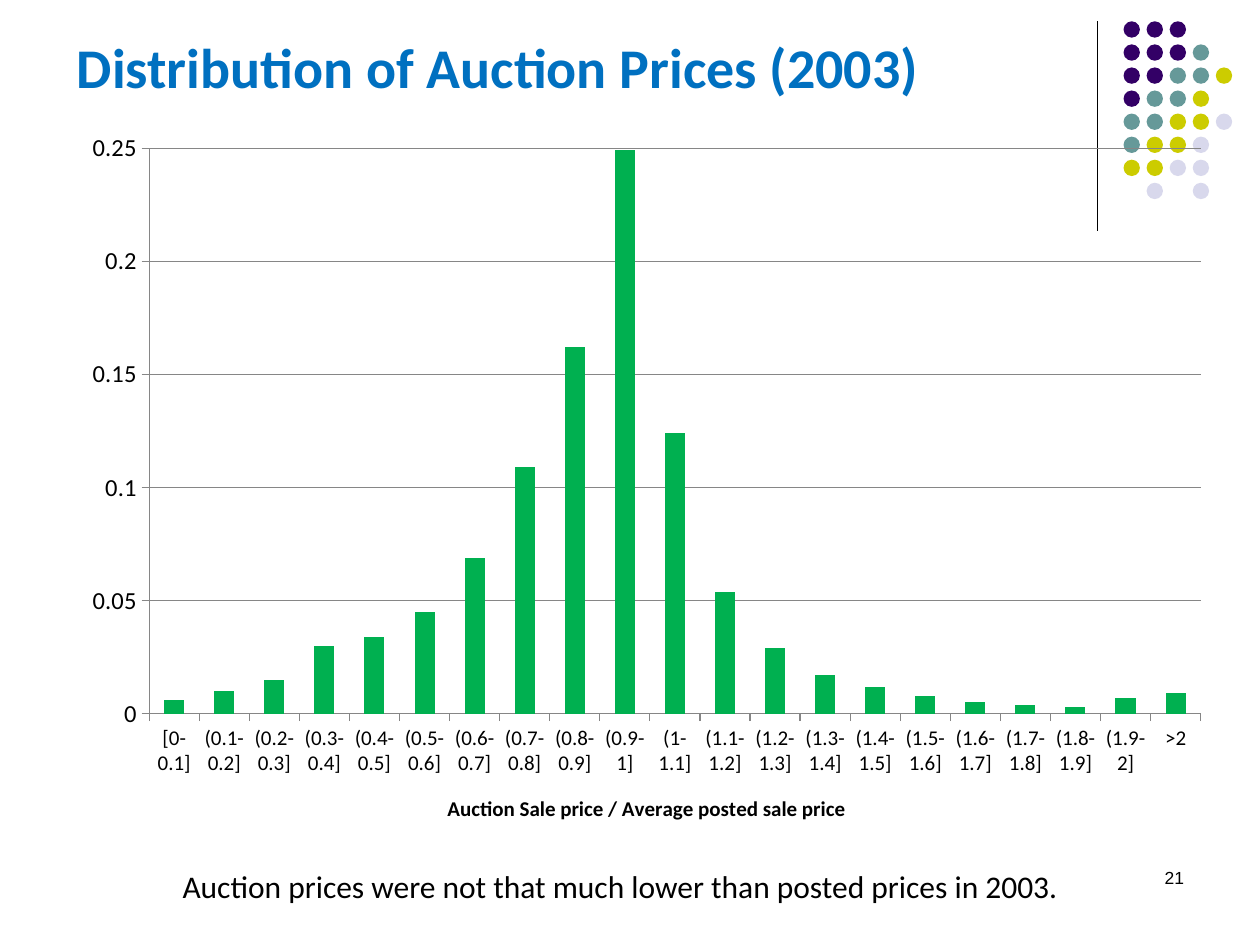
"""Build the auction price distribution slide."""
import dataclasses

import lxml.etree
import pptx
import pptx.chart.data
import pptx.dml.color
import pptx.enum.chart
import pptx.enum.shapes
import pptx.enum.text
import pptx.oxml.ns
import pptx.util

Cm = pptx.util.Cm
Pt = pptx.util.Pt
ANCHOR = pptx.enum.text.MSO_ANCHOR
ALIGN = pptx.enum.text.PP_ALIGN


@dataclasses.dataclass(frozen=True)
class Theme:
    ink: str = "000000"
    title: str = "0070C0"
    bar: str = "00B050"
    grid: str = "868686"
    purple: str = "330066"
    teal: str = "669999"
    lime: str = "CCCC00"
    pale: str = "D8D8EC"
    font: str = "Calibri"
    number_font: str = "Arial"
    title_size: float = 32
    caption_size: float = 18
    value_size: float = 14
    category_size: float = 12
    number_size: float = 10


def rgb(value):
    return pptx.dml.color.RGBColor.from_string(value)


class Deck:
    def __init__(self, prs, theme):
        self.theme = theme
        self.s = prs.slides.add_slide(prs.slide_layouts[6])

    def style(self, font, size, color=None, **extra):
        fmt = {"name": self.theme.font, "size": Pt(size), "bold": False, **extra}
        for key, value in fmt.items():
            setattr(font, key, value)
        font.color.rgb = rgb(color or self.theme.ink)

    def outline(self, line):
        line.color.rgb = rgb(self.theme.grid)
        line.width = Pt(0.75)

    def text(self, box, text, size, color=None, anchor=ANCHOR.TOP, align=ALIGN.LEFT, **extra):
        tf = self.s.shapes.add_textbox(*map(Cm, box)).text_frame
        tf.word_wrap = True
        tf.vertical_anchor = anchor
        p = tf.paragraphs[0]
        p.alignment = align
        r = p.add_run()
        r.text = text
        self.style(r.font, size, color, **extra)

    def line(self, x1, y1, x2, y2):
        kind = pptx.enum.shapes.MSO_CONNECTOR.STRAIGHT
        sp = self.s.shapes.add_connector(kind, Cm(x1), Cm(y1), Cm(x2), Cm(y2))
        sp.line.color.rgb = rgb(self.theme.ink)
        sp.line.width = Pt(0.75)
        lxml.etree.SubElement(sp._element.spPr, pptx.oxml.ns.qn("a:effectLst"))

    def dots(self, rows, left, top, pitch, size):
        colors = {"P": self.theme.purple, "T": self.theme.teal,
                  "L": self.theme.lime, "W": self.theme.pale}
        group = self.s.shapes.add_group_shape()
        for i, row in enumerate(rows):
            for j, code in enumerate(row):
                if code in colors:
                    sp = group.shapes.add_shape(
                        pptx.enum.shapes.MSO_SHAPE.OVAL, Cm(left + j * pitch),
                        Cm(top + i * pitch), Cm(size), Cm(size))
                    sp.shadow.inherit = False
                    sp.fill.solid()
                    sp.fill.fore_color.rgb = rgb(colors[code])
                    sp.line.fill.background()

    def column_chart(self, box, cats, vals, axis_title):
        data = pptx.chart.data.CategoryChartData()
        data.categories = cats
        data.add_series("Series 1", vals)
        kind = pptx.enum.chart.XL_CHART_TYPE.COLUMN_CLUSTERED
        chart = self.s.shapes.add_chart(kind, *map(Cm, box), data).chart
        chart.has_title = chart.has_legend = False
        self.style(chart.font, self.theme.number_size, name=self.theme.number_font)

        plot = chart.plots[0]
        plot.gap_width = 150
        plot.vary_by_categories = False
        fill = plot.series[0].format.fill
        fill.solid()
        fill.fore_color.rgb = rgb(self.theme.bar)

        sizes = (self.theme.category_size, self.theme.value_size)
        for axis, size in zip((chart.category_axis, chart.value_axis), sizes):
            axis.major_tick_mark = pptx.enum.chart.XL_TICK_MARK.OUTSIDE
            self.style(axis.tick_labels.font, size)
            self.outline(axis.format.line)

        tf = chart.category_axis.axis_title.text_frame
        r = tf.paragraphs[0].add_run()
        r.text = axis_title
        self.style(r.font, self.theme.category_size, bold=True)

        axis = chart.value_axis
        fmt = {"minimum_scale": 0, "maximum_scale": 0.25, "major_unit": 0.05,
               "has_major_gridlines": True}
        for key, value in fmt.items():
            setattr(axis, key, value)
        self.outline(axis.major_gridlines.format.line)


def main():
    theme = Theme()
    prs = pptx.Presentation()
    prs.slide_width, prs.slide_height = Cm(25.4), Cm(19.05)
    deck = Deck(prs, theme)

    deck.line(22.12, 0.43, 22.12, 4.65)
    rows = ["PPP", "PPPT", "PPTTL", "PTTL", "TTLLW", "TLLW", "LLWW", " W W"]
    deck.dots(rows, left=22.65, top=0.43, pitch=0.465, size=0.33)

    deck.text((1.3, 0, 22.86, 2.13), "Distribution of Auction Prices (2003)",
              theme.title_size, theme.title, anchor=ANCHOR.BOTTOM, bold=True)
    deck.text((18.2, 17.35, 5.92, 1.27), "21", theme.number_size,
              align=ALIGN.RIGHT, name=theme.number_font)
    deck.text((3.43, 17.35, 18.87, 1.02),
              "Auction prices were not that much lower than posted prices in 2003.",
              theme.caption_size)

    bins = [f"({i / 10:g}-{(i + 1) / 10:g}]" for i in range(1, 20)]
    vals = [0.006, 0.01, 0.015, 0.03, 0.034, 0.045, 0.069, 0.109, 0.162, 0.249, 0.124,
            0.054, 0.029, 0.017, 0.012, 0.008, 0.005, 0.004, 0.003, 0.007, 0.009]
    deck.column_chart((1.4, 2.39, 23.27, 14.73), ["[0-0.1]", *bins, ">2"], vals,
                      "Auction Sale price / Average posted sale price")
    prs.save("out.pptx")


if __name__ == "__main__":
    main()
